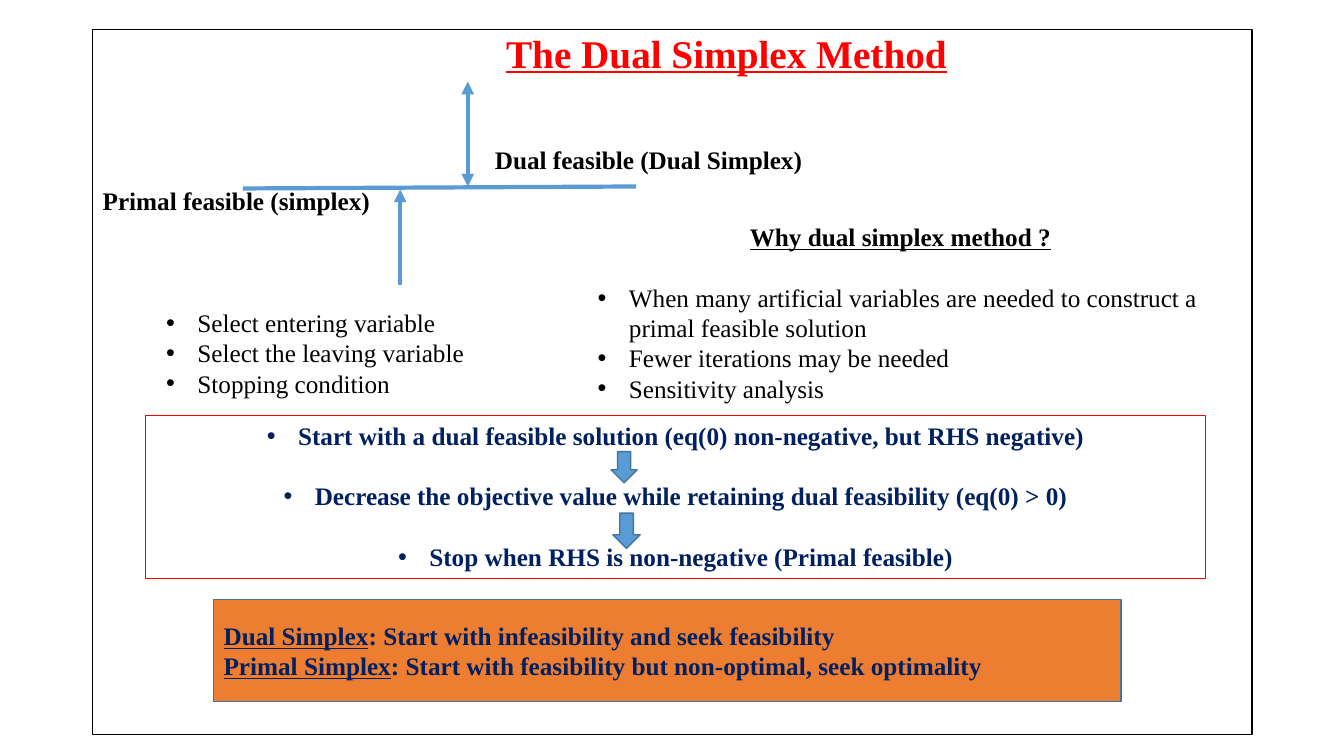
from lxml import etree
from pptx import Presentation
from pptx import util as u
from pptx.dml.color import RGBColor
from pptx.enum import shapes, text
from pptx.oxml import ns

PX = 9144  # 100 px to the inch
COLORS = {"black": "000000", "white": "FFFFFF", "red": "FF0000", "navy": "002060",
          "blue": "5B9BD5", "outline": "43739E", "orange": "ED7D31"}
CENTER = text.PP_ALIGN.CENTER
LEFT = text.PP_ALIGN.LEFT


def color(name):
    return RGBColor.from_string(COLORS[name])


def add_xml(parent, tag, **attributes):
    return etree.SubElement(parent, ns.qn(tag), attributes)


class SlideBuilder:
    font_name = "Times New Roman"
    font_size = 18
    bullet_indent = 31

    def __init__(self, slide):
        self.slide = slide

    def box(self, left, top, width, height, fill=None, line=None, line_width=1,
            kind=shapes.MSO_SHAPE.RECTANGLE, anchor=text.MSO_ANCHOR.TOP):
        shape = self.slide.shapes.add_shape(
            kind, left * PX, top * PX, width * PX, height * PX)
        shape.shadow.inherit = False
        if fill:
            shape.fill.solid()
            shape.fill.fore_color.rgb = color(fill)
        else:
            shape.fill.background()
        shape.line.color.rgb = color(line)
        shape.line.width = u.Pt(line_width)
        shape.text_frame.word_wrap = True
        shape.text_frame.vertical_anchor = anchor
        return shape.text_frame

    def text_box(self, left, top, width, height):
        shape = self.slide.shapes.add_textbox(
            left * PX, top * PX, width * PX, height * PX)
        shape.text_frame.word_wrap = True
        return shape.text_frame

    def paragraph(self, frame, *parts, size=None, ink="black", bold=False,
                  underline=False, align=LEFT, bullet=False, indent=0, before=0,
                  spacing=None):
        """Add one paragraph; with several parts, only the first is underlined."""
        first = frame.paragraphs[0]
        paragraph = first if not first.runs else frame.add_paragraph()
        paragraph.alignment = align
        paragraph.space_before = u.Pt(before)
        if spacing:
            paragraph.line_spacing = spacing
        properties = paragraph._p.get_or_add_pPr()
        if bullet:
            indent = self.bullet_indent
            properties.set("indent", str(-indent * PX))
            add_xml(properties, "a:buFont", typeface="Arial")
            add_xml(properties, "a:buChar", char="•")
        properties.set("marL", str(indent * PX))
        for number, part in enumerate(parts):
            run = paragraph.add_run()
            run.text = part
            run.font.name = self.font_name
            run.font.size = u.Pt(size or self.font_size)
            run.font.bold = bold
            run.font.underline = underline and number == 0
            run.font.color.rgb = color(ink)

    def line(self, start, end, head=False, tail=False):
        connector = self.slide.shapes.add_connector(
            shapes.MSO_CONNECTOR.STRAIGHT, *(value * PX for value in start + end))
        connector.line.color.rgb = color("blue")
        connector.line.width = u.Pt(3)
        outline = connector.line._get_or_add_ln()
        for tag, wanted in (("a:headEnd", head), ("a:tailEnd", tail)):
            if wanted:
                add_xml(outline, tag, type="triangle")
        add_xml(connector._element.spPr, "a:effectLst")


def main():
    presentation = Presentation()
    presentation.slide_width = 1333 * PX
    presentation.slide_height = 750 * PX
    builder = SlideBuilder(presentation.slides.add_slide(presentation.slide_layouts[6]))

    # Frame with title and feasibility labels
    frame = builder.box(92, 29, 1150, 700, fill="white", line="black")
    builder.paragraph(frame, "The Dual Simplex Method", size=28, ink="red", bold=True,
                      underline=True, align=CENTER, indent=107, spacing=0.9)
    builder.paragraph(frame, "Dual feasible (Dual Simplex)", bold=True, indent=389,
                      before=51, spacing=0.9)
    builder.paragraph(frame, "Primal feasible (simplex)", bold=True, before=10,
                      spacing=0.9)

    # Boundary between the regions and the two approaches to it
    builder.line((241, 187), (631, 185))
    builder.line((464, 185), (464, 81), head=True, tail=True)
    builder.line((397, 283), (397, 188), tail=True)

    # Steps of the simplex method
    steps = builder.text_box(155, 300, 335, 101)
    for step in ("Select entering variable", "Select the leaving variable",
                 "Stopping condition"):
        builder.paragraph(steps, step, bullet=True)

    # Reasons for the dual method
    reasons = builder.text_box(583, 215, 620, 192)
    builder.paragraph(reasons, "Why dual simplex method ?", bold=True, underline=True,
                      align=CENTER)
    for reason, gap in (
            ("When many artificial variables are needed to construct a "
             "primal feasible solution", 21.6),
            ("Fewer iterations may be needed", 0),
            ("Sensitivity analysis", 0)):
        builder.paragraph(reasons, reason, bullet=True, before=gap)

    # Dual simplex procedure
    procedure = builder.box(144, 412, 1052, 162, line="red", line_width=0.75)
    for number, stage in enumerate((
            "Start with a dual feasible solution (eq(0) non-negative, but RHS negative)",
            "Decrease the objective value while retaining dual feasibility (eq(0) > 0)",
            "Stop when RHS is non-negative (Primal feasible)")):
        builder.paragraph(procedure, stage, ink="navy", bold=True, align=CENTER,
                          bullet=True, before=21.6 if number else 0)
    for arrow in ((606, 448, 26, 31), (608, 509, 27, 35)):
        builder.box(*arrow, fill="blue", line="outline",
                    kind=shapes.MSO_SHAPE.DOWN_ARROW)

    # Comparison of the two methods
    summary = builder.box(212, 595, 900, 101, fill="orange", line="outline",
                          anchor=text.MSO_ANCHOR.MIDDLE)
    for method, strategy in (
            ("Dual Simplex", ": Start with infeasibility and seek feasibility"),
            ("Primal Simplex", ": Start with feasibility but non-optimal, seek optimality")):
        builder.paragraph(summary, method, strategy, ink="navy", bold=True,
                          underline=True)

    presentation.save("out.pptx")


if __name__ == "__main__":
    main()
